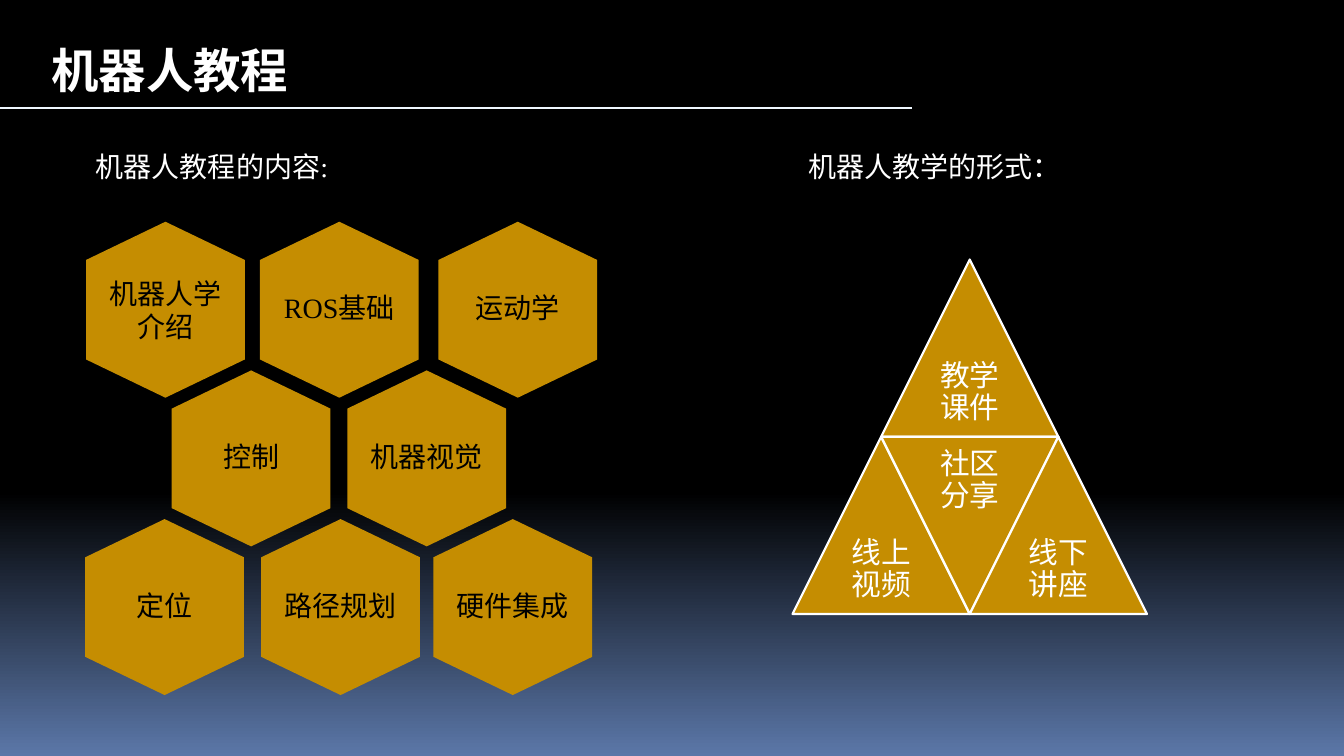
"""Build the slide on the contents and teaching formats of a robotics course."""

from dataclasses import dataclass

from lxml.etree import SubElement
from pptx import Presentation
from pptx.dml.color import RGBColor
from pptx.dml.fill import FillFormat
from pptx.enum.shapes import MSO_CONNECTOR as Connector, MSO_SHAPE as Preset
from pptx.enum.text import MSO_ANCHOR as Anchor, MSO_AUTO_SIZE as Fit, PP_ALIGN as Align
from pptx.oxml.ns import qn
from pptx.shapes.base import BaseShape
from pptx.slide import Slide
from pptx.util import Cm, Pt

BLACK, WHITE, GOLD = "000000", "FFFFFF", "C58D01"
SERIF, SANS = "Times New Roman", "Calibri"
HEX_WIDTH, HEX_HEIGHT, HEX_SHOULDER = 3.78, 4.19, 0.91
HEX_TOP, HEX_ROW_STEP = 5.28, 3.54
SIDE, PYRAMID_LEFT, PYRAMID_TOP = 4.22, 18.87, 6.18


@dataclass(frozen=True)
class Topic:
    label: str
    left: float
    row: int
    spacing: float = 0.9


@dataclass(frozen=True)
class Format:
    label: str
    half_steps: int
    row: int
    inverted: bool = False


@dataclass(frozen=True)
class Heading:
    label: str
    left: float
    width: float


TOPICS = [
    Topic("机器人学介绍", 2.05, 0, 1.0),
    Topic("ROS基础", 6.19, 0),
    Topic("运动学", 10.44, 0),
    Topic("控制", 4.09, 1),
    Topic("机器视觉", 8.27, 1),
    Topic("定位", 2.03, 2),
    Topic("路径规划", 6.22, 2),
    Topic("硬件集成", 10.32, 2),
]
FORMATS = [
    Format("教学课件", 1, 0),
    Format("线上视频", 0, 1),
    Format("社区分享", 1, 1, True),
    Format("线下讲座", 2, 1),
]
HEADINGS = [
    Heading("机器人教程的内容:", 2.03, 12.85),
    Heading("机器人教学的形式：", 19.0, 6.55),
]


def paint(fill: FillFormat, color: str) -> None:
    fill.solid()
    fill.fore_color.rgb = RGBColor.from_string(color)


def write(box: BaseShape, text: str, size: float, font: str, color: str,
          align: Align = Align.LEFT, anchor: Anchor = Anchor.TOP,
          insets: tuple[float, float] = (0.25, 0.13),
          spacing: float = 1.0, bold: bool = False) -> None:
    frame = box.text_frame
    frame.word_wrap, frame.auto_size = True, Fit.NONE
    frame.vertical_anchor = anchor
    frame.margin_left = frame.margin_right = Cm(insets[0])
    frame.margin_top = frame.margin_bottom = Cm(insets[1])
    para = frame.paragraphs[0]
    para.text = text
    para.alignment, para.line_spacing = align, spacing
    para.font.name, para.font.size, para.font.bold = font, Pt(size), bold
    paint(para.font.fill, color)


def draw_background(page: Slide) -> None:
    fill = page.background.fill
    fill.gradient()
    fill.gradient_angle = 270
    for stop, (position, color) in zip(fill.gradient_stops, [(0.65, BLACK), (1.0, "5B77A8")]):
        stop.position = position
        stop.color.rgb = RGBColor.from_string(color)


def draw_title(page: Slide) -> None:
    title = page.shapes.title
    title.left, title.top, title.width, title.height = Cm(0.97), Cm(0.84), Cm(6.43), Cm(1.63)
    write(title, "机器人教程", 32, SERIF, WHITE, bold=True)
    rule = page.shapes.add_connector(Connector.STRAIGHT, 0, Cm(2.57), Cm(21.72), Cm(2.57))
    rule.line.width = Pt(1.5)
    paint(rule.line.fill, "EFF7FF")
    SubElement(rule._element.spPr, qn("a:effectLst"))


def draw_heading(page: Slide, heading: Heading) -> None:
    box = page.shapes.add_textbox(Cm(heading.left), Cm(3.43), Cm(heading.width), Cm(1.07))
    write(box, heading.label, 18.9, SERIF, WHITE)


def draw_topic(page: Slide, topic: Topic) -> None:
    left, top = topic.left, HEX_TOP + topic.row * HEX_ROW_STEP
    middle, right = left + HEX_WIDTH / 2, left + HEX_WIDTH
    bottom = top + HEX_HEIGHT
    upper, lower = top + HEX_SHOULDER, bottom - HEX_SHOULDER
    corners = [(right, upper), (right, lower), (middle, bottom), (left, lower), (left, upper)]
    builder = page.shapes.build_freeform(Cm(middle), Cm(top))
    builder.add_line_segments([(Cm(x), Cm(y)) for x, y in corners], close=True)
    hexagon = builder.convert_to_shape()
    hexagon.shadow.inherit = False
    paint(hexagon.fill, GOLD)
    hexagon.line.fill.background()
    write(hexagon, topic.label, 18.9, SERIF, BLACK, Align.CENTER, Anchor.MIDDLE,
          (0.53, 0.64), topic.spacing)


def draw_format(page: Slide, item: Format) -> None:
    left = PYRAMID_LEFT + item.half_steps * SIDE / 2
    top = PYRAMID_TOP + item.row * SIDE
    triangle = page.shapes.add_shape(Preset.ISOSCELES_TRIANGLE, Cm(left), Cm(top), Cm(SIDE), Cm(SIDE))
    triangle.rotation = 180 if item.inverted else 0
    triangle.shadow.inherit = False
    paint(triangle.fill, GOLD)
    triangle.line.width = Pt(1.5)
    paint(triangle.line.fill, WHITE)
    label_top = top if item.inverted else top + SIDE / 2
    box = page.shapes.add_textbox(Cm(left + SIDE / 4), Cm(label_top), Cm(SIDE / 2), Cm(SIDE / 2))
    write(box, item.label, 20, SANS, WHITE, Align.CENTER, Anchor.MIDDLE, (0.2, 0.2), 0.9)


def main() -> None:
    deck = Presentation()
    deck.slide_width, deck.slide_height = Cm(32.0), Cm(18.0)
    page = deck.slides.add_slide(deck.slide_layouts.get_by_name("Title Only"))
    draw_background(page)
    draw_title(page)
    for heading in HEADINGS:
        draw_heading(page, heading)
    for topic in TOPICS:
        draw_topic(page, topic)
    for item in FORMATS:
        draw_format(page, item)
    deck.save("out.pptx")


if __name__ == "__main__":
    main()
